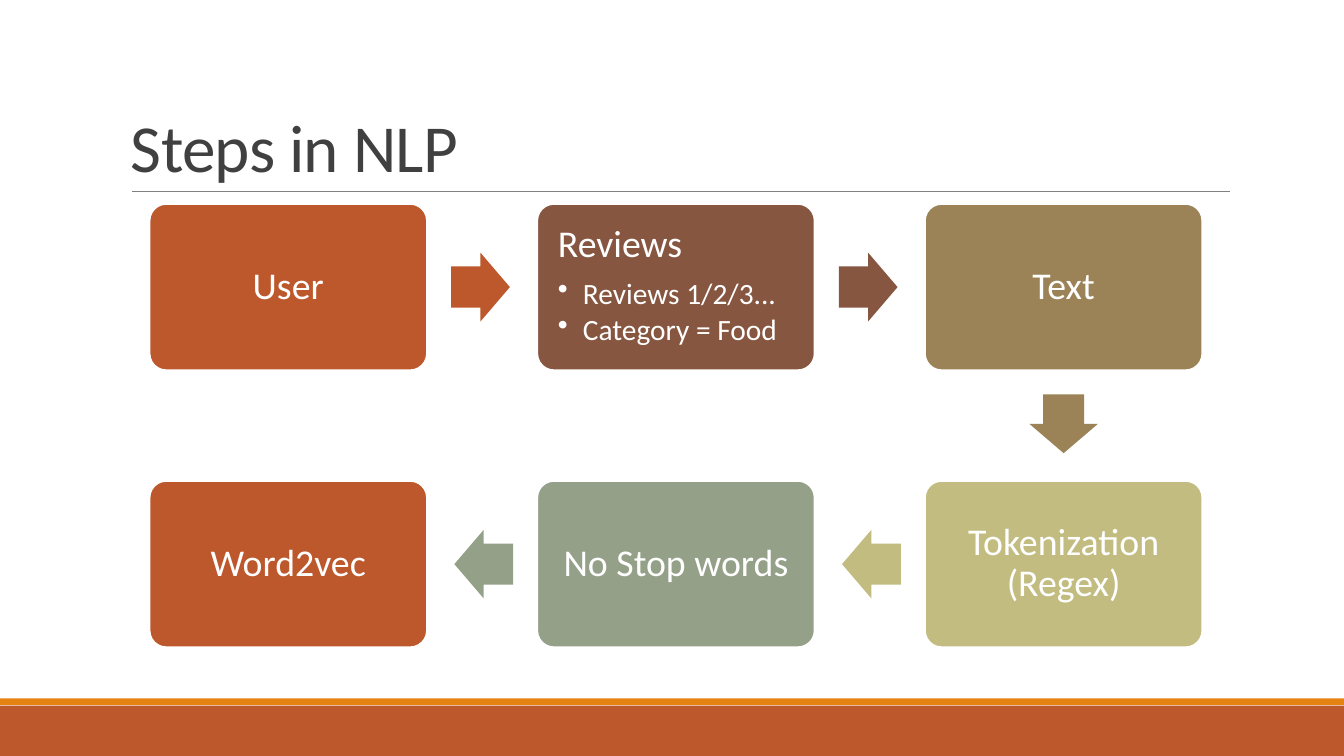
"""Build the "Steps in NLP" process slide."""
from lxml.etree import SubElement
from pptx import Presentation
from pptx.dml.color import RGBColor
from pptx.enum.shapes import MSO_CONNECTOR, MSO_SHAPE
from pptx.enum.text import MSO_ANCHOR, PP_ALIGN
from pptx.oxml.ns import qn
from pptx.util import Cm, Pt

COLORS = {
    "white": "FFFFFF", "ink": "404040", "rule": "808080",
    "rust": "BD582C", "orange": "E48312", "brown": "865640",
    "tan": "9B8357", "olive": "C2BC80", "sage": "94A088",
}
BOX_W, BOX_H = 6.99, 4.19
LEFT, TOP, PITCH_X, PITCH_Y = 3.77, 5.14, 9.77, 6.98
ARROW_W, ARROW_H, ARROW_GAP = 1.48, 1.73, 1.35
ANGLES = {(1, 0): 0, (0, 1): 90, (-1, 0): 180}
STEPS = [
    ("User", "rust", 0, 0, []),
    ("Reviews", "brown", 1, 0, ["Reviews 1/2/3...", "Category = Food"]),
    ("Text", "tan", 2, 0, []),
    ("Tokenization (Regex)", "olive", 2, 1, []),
    ("No Stop words", "sage", 1, 1, []),
    ("Word2vec", "rust", 0, 1, []),
]


class Deck:
    def __init__(self, font="Calibri"):
        self.font = font
        self.prs = Presentation()
        self.prs.slide_width, self.prs.slide_height = Cm(33.87), Cm(19.05)
        self.slide = self.prs.slides.add_slide(self.prs.slide_layouts[6])

    def color(self, name):
        return RGBColor.from_string(COLORS[name])

    def shape(self, kind, x, y, w, h, fill):
        sp = self.slide.shapes.add_shape(kind, Cm(x), Cm(y), Cm(w), Cm(h))
        sp.shadow.inherit = False
        sp.fill.solid()
        sp.fill.fore_color.rgb = self.color(fill)
        sp.line.fill.background()
        return sp

    def text(self, p, text, size, color, spacing):
        p.text = text
        p.line_spacing = spacing
        r = p.runs[0]
        r.font.name, r.font.size = self.font, Pt(size)
        r.font.color.rgb = self.color(color)
        return r

    def title(self, text):
        sp = self.slide.shapes.add_textbox(Cm(3.05), Cm(0.79), Cm(27.94), Cm(4.04))
        tf = sp.text_frame
        tf.word_wrap, tf.vertical_anchor = True, MSO_ANCHOR.BOTTOM
        r = self.text(tf.paragraphs[0], text, 48, "ink", 0.85)
        r.font._element.set("spc", "-50")

    def line(self, x1, y1, x2, y2):
        ln = self.slide.shapes.add_connector(
            MSO_CONNECTOR.STRAIGHT, Cm(x1), Cm(y1), Cm(x2), Cm(y2))
        ln.line.color.rgb, ln.line.width = self.color("rule"), Pt(0.5)
        SubElement(ln._element.spPr, qn("a:effectLst"))

    def box(self, text, fill, col, row, details):
        sp = self.shape(MSO_SHAPE.ROUNDED_RECTANGLE, LEFT + col * PITCH_X,
                        TOP + row * PITCH_Y, BOX_W, BOX_H, fill)
        sp.adjustments[0] = 0.1
        sp.line.color.rgb, sp.line.width = self.color("white"), Pt(1.25)
        tf = sp.text_frame
        tf.word_wrap = True
        tf.margin_left = tf.margin_right = tf.margin_top = tf.margin_bottom = Cm(0.4)
        tf.vertical_anchor = MSO_ANCHOR.TOP if details else MSO_ANCHOR.MIDDLE
        p = tf.paragraphs[0]
        self.text(p, text, 27, "white", 0.9)
        p.alignment = PP_ALIGN.LEFT if details else PP_ALIGN.CENTER
        if details:
            p.space_after = Pt(9.5)
        for detail in details:
            self.bullet(tf.add_paragraph(), detail)

    def bullet(self, p, text):
        self.text(p, text, 21, "white", 0.9)
        p.alignment, p.level, p.space_after = PP_ALIGN.LEFT, 1, Pt(3)
        pPr = p._p.get_or_add_pPr()
        pPr.set("marL", str(Cm(0.63)))
        pPr.set("indent", str(-Cm(0.63)))
        SubElement(pPr, qn("a:buChar")).set("char", "•")

    def arrow(self, fill, col, row, dx, dy):
        cx = LEFT + col * PITCH_X + BOX_W / 2 + dx * (BOX_W / 2 + ARROW_GAP)
        cy = TOP + row * PITCH_Y + BOX_H / 2 + dy * (BOX_H / 2 + ARROW_GAP)
        sp = self.shape(MSO_SHAPE.RIGHT_ARROW, cx - ARROW_W / 2,
                        cy - ARROW_H / 2, ARROW_W, ARROW_H, fill)
        sp.adjustments[0], sp.adjustments[1] = 0.6, 0.5
        sp.rotation = ANGLES[dx, dy]


def main():
    deck = Deck()
    deck.shape(MSO_SHAPE.RECTANGLE, 0, 17.78, 33.87, 1.27, "rust")
    deck.shape(MSO_SHAPE.RECTANGLE, 0, 17.6, 33.87, 0.17, "orange")
    deck.line(3.33, 4.82, 31, 4.82)
    deck.title("Steps in NLP")
    for step in STEPS:
        deck.box(*step)
    for (_, fill, col, row, _), (_, _, to_col, to_row, _) in zip(STEPS, STEPS[1:]):
        deck.arrow(fill, col, row, to_col - col, to_row - row)
    deck.prs.save("out.pptx")


if __name__ == "__main__":
    main()
